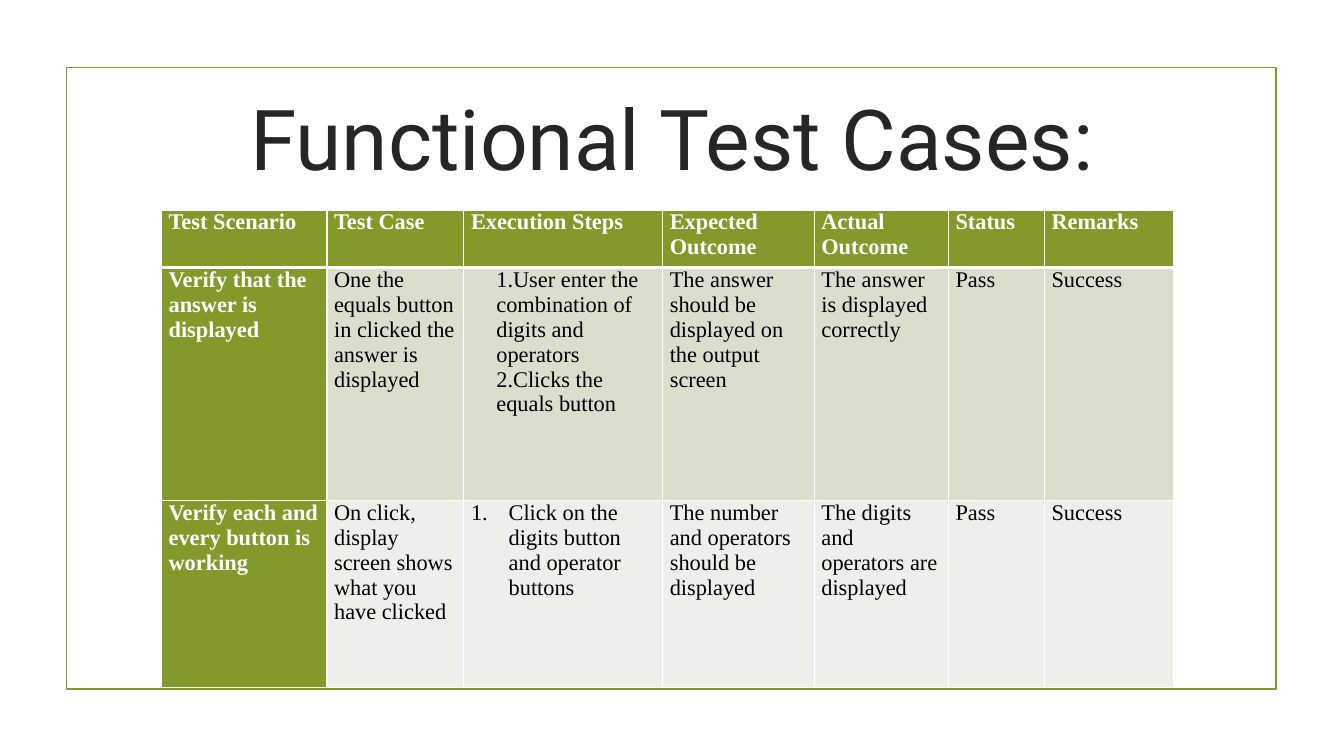
from lxml import etree
from pptx import Presentation
from pptx import util as u
from pptx.dml import color
from pptx.enum import shapes, text
from pptx.oxml import ns

COLOURS = {
    "green": "83992A",
    "title": "262626",
    "odd row": "D9DECD",
    "even row": "EDEFE8",
    "white": "FFFFFF",
    "black": "000000",
}
COLUMN_WIDTHS = [4.17, 3.45, 5.01, 3.82, 3.38, 2.42, 3.25]
ROW_HEIGHTS = [1.45, 5.87, 4.71]
STEPS_COLUMN = 2
# Left margin and first-line indent in cm, and automatic numbering, by row.
STEP_FORMATS = {1: (0.64, 0, False), 2: (0.95, -0.95, True)}
TEST_CASES = [
    ["Test Scenario", "Test Case", "Execution Steps", "Expected Outcome",
     "Actual Outcome", "Status", "Remarks"],
    ["Verify that the answer is displayed",
     "One the equals button in clicked the answer is displayed",
     "1.User enter the combination of digits and operators\n"
     "2.Clicks the equals button",
     "The answer should be displayed on the output screen",
     "The answer is displayed correctly", "Pass", "Success"],
    ["Verify each and every button is working",
     "On click, display screen shows what you have clicked",
     "Click on the digits button and operator buttons",
     "The number and operators should be displayed",
     "The digits and operators are displayed", "Pass", "Success"],
]


def rgb(name):
    return color.RGBColor.from_string(COLOURS[name])


def set_values(target, values):
    for name, value in values.items():
        setattr(target, name, value)


def format_font(paragraph, colour, **values):
    set_values(paragraph.font, values)
    paragraph.font.color.rgb = rgb(colour)


def add_frame(slide):
    frame = slide.shapes.add_shape(
        shapes.MSO_SHAPE.RECTANGLE, u.Cm(1.68), u.Cm(1.7), u.Cm(30.48), u.Cm(15.67))
    frame.shadow.inherit = False
    frame.fill.background()
    frame.line.color.rgb = rgb("green")
    frame.line.width = u.Pt(1.25)


def add_title(slide, wording):
    title = slide.shapes.add_textbox(u.Cm(0), u.Cm(1.88), u.Cm(33.87), u.Cm(3.15))
    set_values(title.text_frame, {
        "word_wrap": True,
        "vertical_anchor": text.MSO_ANCHOR.MIDDLE,
        "text": wording,
    })
    paragraph = title.text_frame.paragraphs[0]
    paragraph.alignment = text.PP_ALIGN.CENTER
    format_font(paragraph, "title", name="Roboto", size=u.Pt(60))


def add_borders(cell, widths):
    """Draw white cell borders; widths maps an edge tag to points."""
    properties = cell._tc.get_or_add_tcPr()
    for edge, width in widths.items():
        line = etree.SubElement(properties, ns.qn(f"a:{edge}"), w=str(u.Pt(width)))
        fill = etree.SubElement(line, ns.qn("a:solidFill"))
        etree.SubElement(fill, ns.qn("a:srgbClr"), val=COLOURS["white"])


def indent_step(paragraph, margin, indent, numbered):
    properties = paragraph._p.get_or_add_pPr()
    properties.set("marL", str(u.Cm(margin)))
    properties.set("indent", str(u.Cm(indent)))
    if numbered:
        number = etree.Element(ns.qn("a:buAutoNum"), type="arabicPeriod")
        properties.insert(0, number)


def fill_cell(cell, wording, row, column):
    heading = row == 0 or column == 0
    set_values(cell, {
        "text": wording,
        "margin_left": u.Cm(0.18),
        "margin_right": u.Cm(0.18),
        "margin_top": 0,
        "margin_bottom": 0,
    })
    add_borders(cell, {
        "lnL": 1,
        "lnR": 1,
        "lnT": 3 if row == 1 else 1,
        "lnB": 3 if row == 0 else 1,
    })
    cell.fill.solid()
    row_colour = "odd row" if row % 2 else "even row"
    cell.fill.fore_color.rgb = rgb("green" if heading else row_colour)
    for paragraph in cell.text_frame.paragraphs:
        format_font(paragraph, "white" if heading else "black",
                    name="Times New Roman", size=u.Pt(16), bold=heading)
        if column == STEPS_COLUMN and row in STEP_FORMATS:
            indent_step(paragraph, *STEP_FORMATS[row])


def add_test_table(slide):
    table = slide.shapes.add_table(
        len(ROW_HEIGHTS), len(COLUMN_WIDTHS), u.Cm(4.07), u.Cm(5.29),
        u.Cm(sum(COLUMN_WIDTHS)), u.Cm(sum(ROW_HEIGHTS))).table
    for column, width in zip(table.columns, COLUMN_WIDTHS):
        column.width = u.Cm(width)
    for row, height in zip(table.rows, ROW_HEIGHTS):
        row.height = u.Cm(height)
    for row, wordings in enumerate(TEST_CASES):
        for column, wording in enumerate(wordings):
            fill_cell(table.cell(row, column), wording, row, column)


def main():
    presentation = Presentation()
    presentation.slide_width = u.Cm(33.87)
    presentation.slide_height = u.Cm(19.05)
    slide = presentation.slides.add_slide(presentation.slide_layouts[6])
    add_frame(slide)
    add_title(slide, "Functional Test Cases:")
    add_test_table(slide)
    presentation.save("out.pptx")


if __name__ == "__main__":
    main()
